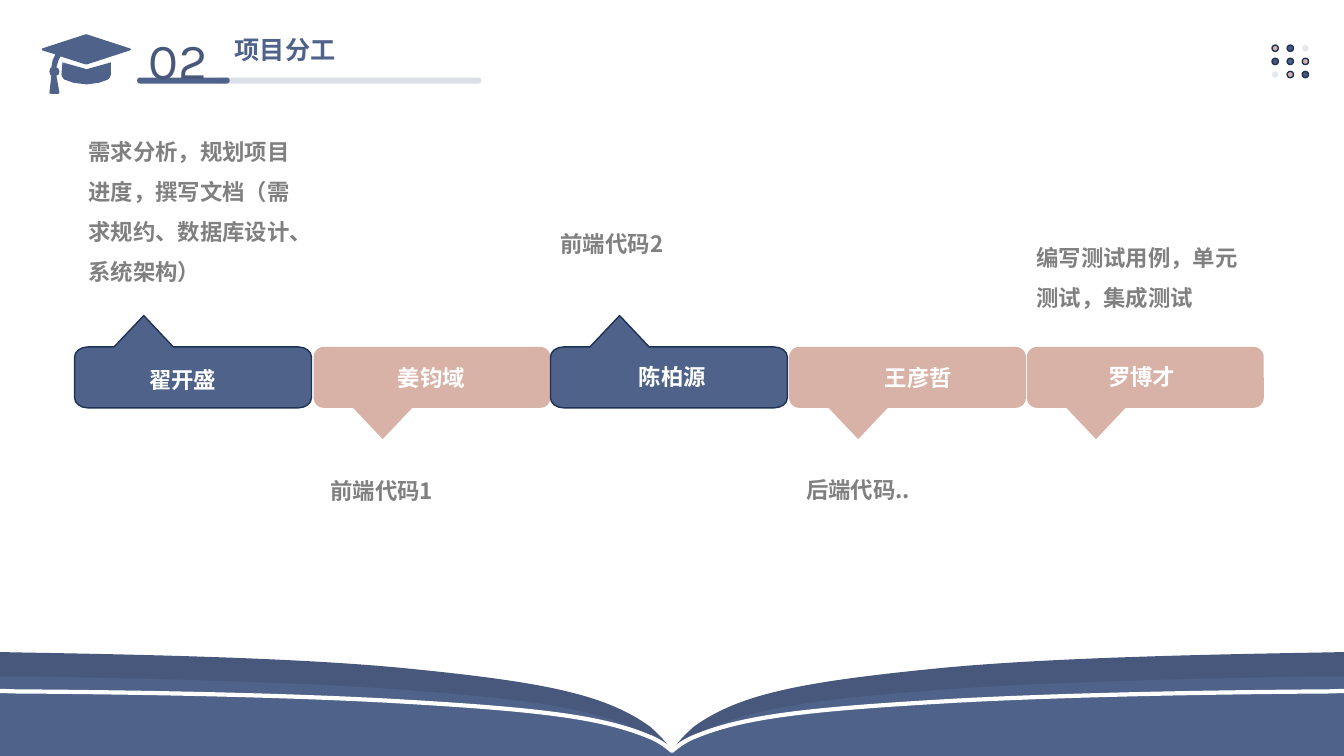
"""Build the project division-of-work slide."""
from lxml import etree
from pptx import Presentation
from pptx.dml.color import RGBColor
from pptx.enum.shapes import MSO_SHAPE
from pptx.enum.text import MSO_ANCHOR, MSO_AUTO_SIZE, PP_ALIGN
from pptx.oxml.ns import qn
from pptx.util import Pt

BLUE = RGBColor(0x4F, 0x62, 0x8A)
DARK = RGBColor(0x48, 0x58, 0x7C)
NAVY = RGBColor(0x1E, 0x32, 0x56)
ROSE = RGBColor(0xD8, 0xB2, 0xA7)
GREY = RGBColor(0x80, 0x80, 0x80)
WHITE = RGBColor(0xFF, 0xFF, 0xFF)

CIRCLE = MSO_SHAPE.OVAL
PILL = MSO_SHAPE.ROUNDED_RECTANGLE
CALLOUT = MSO_SHAPE.ROUNDED_RECTANGULAR_CALLOUT
LEFT, CENTER = PP_ALIGN.LEFT, PP_ALIGN.CENTER
TOP = MSO_ANCHOR.TOP
GROW = MSO_AUTO_SIZE.SHAPE_TO_FIT_TEXT

LATIN, CHINESE = "Karla", "Noto Sans CJK SC"
PAGE_WIDTH, PAGE_HEIGHT = 960, 540
CARD_WIDTH, CARD_HEIGHT, CARD_TOP = 169.2, 43.5, 247.8

CAP_BOARD = [
    (93.6, 35.3), (92.9, 36), (61.9, 46.1), (61.2, 46.1), (43.2, 40.3), (41.8, 43.2),
    (40.3, 48.2), (41.8, 49), (42.5, 51.1), (41.8, 53.3), (40.3, 54), (42.5, 66.2),
    (41.8, 67), (36, 67), (35.3, 66.2), (36.7, 54), (35.8, 53.3), (35.3, 51.1),
    (35.8, 49), (36.7, 48.2), (37.6, 43), (39.6, 38.9), (30.2, 36), (29.8, 35.3),
    (30.2, 34.6), (61.2, 24.5), (61.9, 24.5), (92.9, 34.6),
]
CAP_BASE = [
    (79.2, 44.6), (79.2, 53.3), (78.6, 55.2), (77, 56.9), (70.6, 59.2), (61.9, 60.3),
    (52.6, 59.2), (46.1, 56.9), (44.5, 55.2), (43.9, 53.3), (44.6, 44.6), (60.5, 49),
    (61.9, 49.5), (63.4, 49),
]
BACK_PAGE = [
    (20.2, 466.2), (127.4, 468), (227.5, 470.9), (296.6, 478.1), (388.8, 487.4),
    (432.7, 496.1), (464.4, 519.1), (470.9, 524.9), (476.6, 530.6), (480, 537.1),
]
MIDDLE_PAGE = [
    (11.5, 483.1), (113.8, 484.6), (207.4, 487.4), (275, 491.8), (378, 499),
    (427.7, 506.2), (462.2, 524.9), (470.2, 528.5), (475.9, 533.5), (480, 538.6),
]
FRONT_PAGE = [
    (10.8, 493.9), (113.8, 494.6), (207.4, 496.8), (275, 500.4), (378, 506.2),
    (427, 511.2), (462.2, 525.6), (470.2, 528.5), (475.9, 532.8), (480, 536.4),
]
BOOK = [
    (0, 465.8, 554.4, BACK_PAGE, DARK, None),
    (0, 483.1, 554.4, MIDDLE_PAGE, BLUE, None),
    (-10.1, 493.2, 547.9, FRONT_PAGE, BLUE, (WHITE, 3)),
]
DOT_ROWS = ["RDF", "DBR", "FRD"]
DOT_COLOURS = {"R": ROSE, "D": DARK, "B": BLUE, "F": BLUE}

MEMBERS = [
    (53.3, BLUE, "翟开盛", 64.3, 257.8,
     "需求分析，规划项目进度，撰写文档（需求规约、数据库设计、系统架构）", 56.2, 85.2, 123.8),
    (224, ROSE, "姜钧域", 241.9, 256.3, "前端代码1", 229, 328, 36),
    (393.2, BLUE, "陈柏源", 414, 255.6, "前端代码2", 393.4, 151.2, 36),
    (563.6, ROSE, "王彦哲", 589.7, 256.3, "后端代码..", 568.8, 327.2, 36),
    (733.5, ROSE, "罗博才", 749.3, 255.6, "编写测试用例，单元测试，集成测试", 733.4, 161.3, 65.5),
]


def paint(shape, fill, line=None, opacity=100):
    """Set fill, optional (colour, width) line and opacity in percent."""
    shape.shadow.inherit = False
    shape.fill.solid()
    shape.fill.fore_color.rgb = fill
    if opacity < 100:
        colour = shape.fill._xPr.find(qn("a:solidFill"))[0]
        etree.SubElement(colour, qn("a:alpha"), val=str(opacity * 1000))
    if line:
        shape.line.color.rgb = line[0]
        shape.line.width = Pt(line[1])
    else:
        shape.line.fill.background()


def add_preset(shapes, kind, frame, fill, line=None, opacity=100, adjustments=()):
    """Add a painted preset shape."""
    shape = shapes.add_shape(kind, *map(Pt, frame))
    for index, value in enumerate(adjustments):
        shape.adjustments[index] = value
    paint(shape, fill, line, opacity)


def add_outline(shapes, contours, fill, line=None, curves=()):
    """Add a painted freeform; curves holds the index where each Bezier starts."""
    contours = [[(Pt(x), Pt(y)) for x, y in contour] for contour in contours]
    builder = shapes.build_freeform(*contours[0][0], scale=1.0)
    for index, contour in enumerate(contours):
        if index:
            builder.move_to(*contour[0])
        builder.add_line_segments(contour[1:], close=True)
    shape = builder.convert_to_shape()
    segments = list(shape._element.iter(qn("a:lnTo")))
    for start in curves:
        first, *others = segments[start:start + 3]
        first.tag = qn("a:cubicBezTo")
        for other in others:
            first.append(other[0])
            other.getparent().remove(other)
    paint(shape, fill, line)


def add_book_page(shapes, edge, top, bottom, knots, fill, line):
    """Add one symmetric layer of the open book."""
    half = [(edge, bottom), (edge, top)] + knots
    mirrored = [(PAGE_WIDTH - x, y) for x, y in reversed(half[:-1])]
    add_outline(shapes, [half + mirrored], fill, line, range(2, 20, 3))


def add_raised_card(shapes, left):
    """Add a rounded card with a pointer on its upper edge."""
    top, right, bottom = CARD_TOP, left + CARD_WIDTH, CARD_TOP + CARD_HEIGHT
    rx, ry, near_x, near_y = 9.4, 7.2, 4.2, 3.2
    points = [
        (left + 28.2, top), (left + 49.4, 225.4), (left + 70.5, top),
        (right - rx, top), (right - near_x, top), (right, top + near_y), (right, top + ry),
        (right, bottom - ry), (right, bottom - near_y), (right - near_x, bottom),
        (right - rx, bottom),
        (left + rx, bottom), (left + near_x, bottom), (left, bottom - near_y),
        (left, bottom - ry),
        (left, top + ry), (left, top + near_y), (left + near_x, top), (left + rx, top),
    ]
    add_outline(shapes, [points], BLUE, (NAVY, 1), range(3, 18, 4))


def write_text(box, text, size, colour, bold=True, font=LATIN, align=LEFT, spacing=None, wrap=True):
    """Write one formatted run into a box."""
    frame = box.text_frame
    frame.word_wrap = wrap
    frame.auto_size = GROW
    frame.vertical_anchor = TOP
    para = frame.paragraphs[0]
    para.alignment = align
    para.line_spacing = spacing
    span = para.add_run()
    span.text = text
    span.font.size, span.font.bold, span.font.name = Pt(size), bold, font
    span.font.color.rgb = colour
    etree.SubElement(span.font._element, qn("a:ea"), typeface=CHINESE)


def add_text(page, frame, *args, **kwargs):
    """Add a text box."""
    write_text(page.shapes.add_textbox(*map(Pt, frame)), *args, **kwargs)


def add_dots(page):
    """Add the dot grid in the upper right corner."""
    dots = page.shapes.add_group_shape().shapes
    for row, codes in enumerate(DOT_ROWS):
        for column, code in enumerate(codes):
            faint = code == "F"
            frame = (908.6 + 10.8 * column, 32.2 + 9.4 * row, 4.5, 4.5)
            add_preset(dots, CIRCLE, frame, DOT_COLOURS[code],
                       None if faint else (NAVY, 1), 15 if faint else 100)


def add_header(page):
    """Add the section number, its rules and the title."""
    add_preset(page.shapes, PILL, (97.9, 55.4, 66.2, 4.3), BLUE, adjustments=[0.5])
    add_preset(page.shapes, PILL, (155.5, 55.4, 188.4, 4.3), BLUE, None, 20, [0.5])
    add_text(page, (99, 17.3, 62.6, 51.1), "02", 36, DARK, bold=False, wrap=False)
    title = page.shapes.title
    title.left, title.top, title.width, title.height = map(Pt, (160.4, 20.9, 87.1, 28.8))
    write_text(title, "项目分工", 18, BLUE, wrap=False)


def add_member(page, left, colour, name, name_left, name_top, task, task_left, task_top, task_height):
    """Add one member's card, name and task."""
    if colour == BLUE:
        add_raised_card(page.shapes, left)
    else:
        add_preset(page.shapes, CALLOUT, (left, CARD_TOP, CARD_WIDTH, CARD_HEIGHT), ROSE,
                   adjustments=[-0.208, 1.014, 0.167])
    add_text(page, (name_left, name_top, 132.5, 26.6), name, 16, WHITE, align=CENTER)
    add_text(page, (task_left, task_top, 164.9, task_height), task, 16, GREY,
             font=CHINESE, spacing=1.5)


def main():
    """Build and save the deck."""
    deck = Presentation()
    deck.slide_width, deck.slide_height = Pt(PAGE_WIDTH), Pt(PAGE_HEIGHT)
    page = deck.slides.add_slide(deck.slide_layouts[5])
    add_outline(page.shapes, [CAP_BOARD, CAP_BASE], BLUE)
    add_dots(page)
    book = page.shapes.add_group_shape().shapes
    for layer in BOOK:
        add_book_page(book, *layer)
    add_header(page)
    for member in MEMBERS:
        add_member(page, *member)
    deck.save("out.pptx")


if __name__ == "__main__":
    main()
